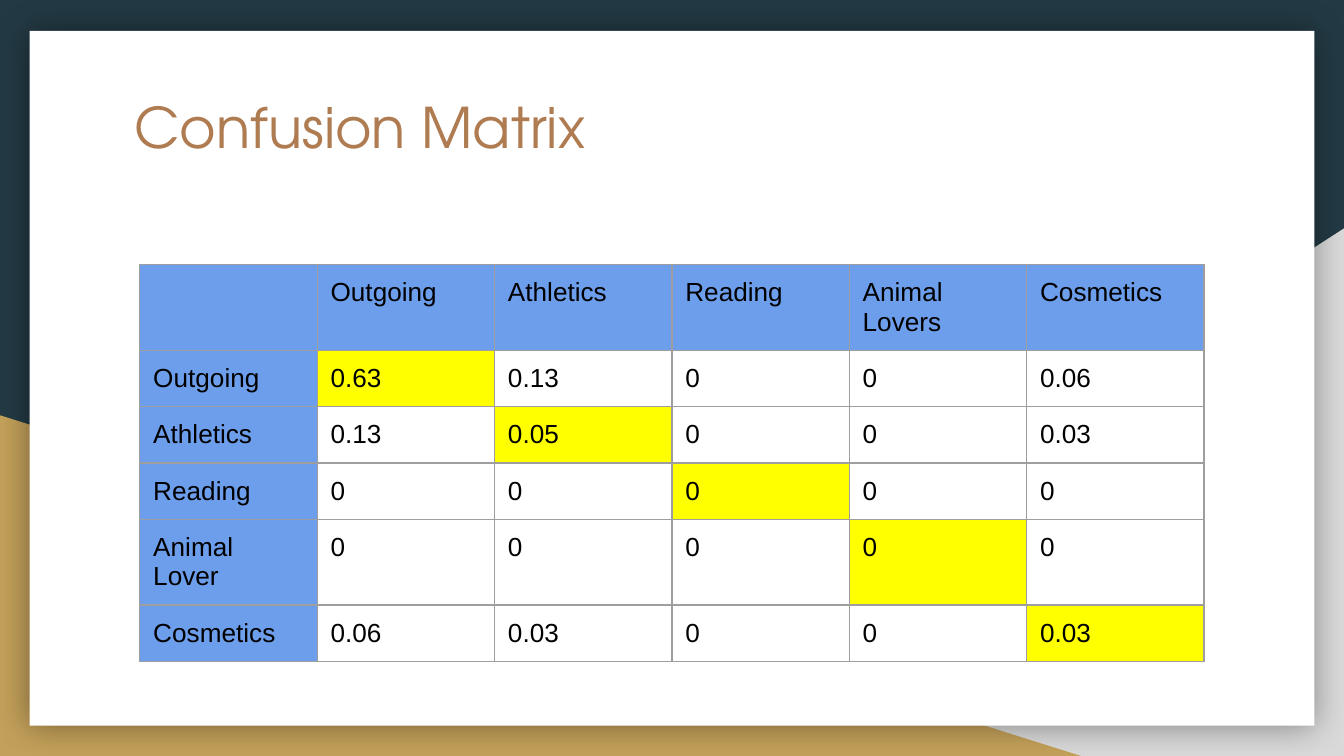
from dataclasses import dataclass

from lxml import etree
from pptx import Presentation
from pptx.dml.color import RGBColor
from pptx.enum import shapes, text
from pptx.oxml.ns import qn
from pptx.util import Inches, Pt

NAVY = RGBColor(0x23, 0x3A, 0x44)
GREY = RGBColor(0xD9, 0xD9, 0xD9)
GOLD = RGBColor(0xC4, 0xA1, 0x5A)
WHITE = RGBColor(0xFF, 0xFF, 0xFF)
BROWN = RGBColor(0xAF, 0x7B, 0x51)
BLUE = RGBColor(0x6D, 0x9E, 0xEB)
YELLOW = RGBColor(0xFF, 0xFF, 0x00)
BLACK = RGBColor(0x00, 0x00, 0x00)
BORDER = RGBColor(0x9E, 0x9E, 0x9E)

TITLE_FONT = "TeX Gyre Adventor"
TABLE_FONT = "Arial"
PADDING = Inches(0.1)
COLUMN_WIDTH = 1.32
ROW_HEIGHT = 0.41  # rows grow to fit their text

MATRIX = [
    ["", "Outgoing", "Athletics", "Reading", "Animal Lovers", "Cosmetics"],
    ["Outgoing", "0.63", "0.13", "0", "0", "0.06"],
    ["Athletics", "0.13", "0.05", "0", "0", "0.03"],
    ["Reading", "0", "0", "0", "0", "0"],
    ["Animal Lover", "0", "0", "0", "0", "0"],
    ["Cosmetics", "0.06", "0.03", "0", "0", "0.03"],
]


@dataclass
class Panel:
    kind: shapes.MSO_SHAPE
    left: float
    top: float
    width: float
    height: float
    color: RGBColor
    flipped: bool = False
    shadowed: bool = False


BACKDROP = [
    Panel(shapes.MSO_SHAPE.RIGHT_TRIANGLE, 3.92, 1.7, 6.08, 3.93, GREY, flipped=True),
    Panel(shapes.MSO_SHAPE.RIGHT_TRIANGLE, 0, 3.09, 8.06, 2.54, GOLD),
    Panel(shapes.MSO_SHAPE.RECTANGLE, 0.22, 0.23, 9.56, 5.17, WHITE, shadowed=True),
]


def add_color(parent, color: RGBColor):
    return etree.SubElement(parent, qn("a:srgbClr"), val=str(color))


def draw_panel(slide, panel: Panel) -> None:
    shape = slide.shapes.add_shape(
        panel.kind, Inches(panel.left), Inches(panel.top),
        Inches(panel.width), Inches(panel.height))
    shape.fill.solid()
    shape.fill.fore_color.rgb = panel.color
    shape.line.fill.background()
    shape.shadow.inherit = False
    properties = shape.element.spPr
    if panel.flipped:
        properties.find(qn("a:xfrm")).set("flipH", "1")
    if panel.shadowed:
        glow = etree.SubElement(
            properties.find(qn("a:effectLst")), qn("a:outerShdw"),
            blurRad=str(Pt(18)), dist="0", dir="0", algn="ctr", rotWithShape="0")
        etree.SubElement(add_color(glow, BLACK), qn("a:alpha"), val="40000")


def set_padding(box) -> None:
    box.margin_left = box.margin_right = PADDING
    box.margin_top = box.margin_bottom = PADDING


def format_title(title) -> None:
    title.left, title.top = Inches(0.9), Inches(0.59)
    title.width, title.height = Inches(8.21), Inches(0.73)
    frame = title.text_frame
    frame.text = "Confusion Matrix"
    frame.word_wrap = True
    frame.auto_size = text.MSO_AUTO_SIZE.NONE
    frame.vertical_anchor = text.MSO_ANCHOR.TOP
    set_padding(frame)
    heading = frame.paragraphs[0]
    heading.alignment = text.PP_ALIGN.LEFT
    heading.font.name = TITLE_FONT
    heading.font.size = Pt(30)
    heading.font.color.rgb = BROWN


def add_borders(cell) -> None:
    properties = cell._tc.get_or_add_tcPr()
    for side in ("lnL", "lnR", "lnT", "lnB"):
        line = etree.SubElement(properties, qn(f"a:{side}"), w=str(Pt(0.75)))
        add_color(etree.SubElement(line, qn("a:solidFill")), BORDER)


def format_cell(cell, label: str, row: int, column: int) -> None:
    set_padding(cell)
    add_borders(cell)
    # Headers are blue, the diagonal of correct predictions yellow
    if row == 0 or column == 0:
        cell.fill.solid()
        cell.fill.fore_color.rgb = BLUE
    elif row == column:
        cell.fill.solid()
        cell.fill.fore_color.rgb = YELLOW
    else:
        cell.fill.background()
    cell.text = label
    font = cell.text_frame.paragraphs[0].font
    font.name = TABLE_FONT
    font.size = Pt(14)
    font.bold = False
    font.color.rgb = BLACK


def draw_matrix(slide, matrix: list[list[str]]) -> None:
    rows, columns = len(matrix), len(matrix[0])
    table = slide.shapes.add_table(
        rows, columns, Inches(1.04), Inches(1.97),
        Inches(COLUMN_WIDTH * columns), Inches(ROW_HEIGHT * rows)).table
    table.first_row = table.horz_banding = False
    for row, labels in enumerate(matrix):
        for column, label in enumerate(labels):
            format_cell(table.cell(row, column), label, row, column)


def main() -> None:
    presentation = Presentation()
    # Widescreen, 16:9
    presentation.slide_width = Inches(10)
    presentation.slide_height = Inches(10 * 9 / 16)
    slide = presentation.slides.add_slide(presentation.slide_layouts[5])

    # Backdrop
    slide.background.fill.solid()
    slide.background.fill.fore_color.rgb = NAVY
    for panel in BACKDROP:
        draw_panel(slide, panel)

    # Title, brought in front of the backdrop
    title = slide.shapes.title
    format_title(title)
    slide.shapes.element.append(title.element)

    # Confusion matrix
    draw_matrix(slide, MATRIX)

    presentation.save("out.pptx")


if __name__ == "__main__":
    main()
